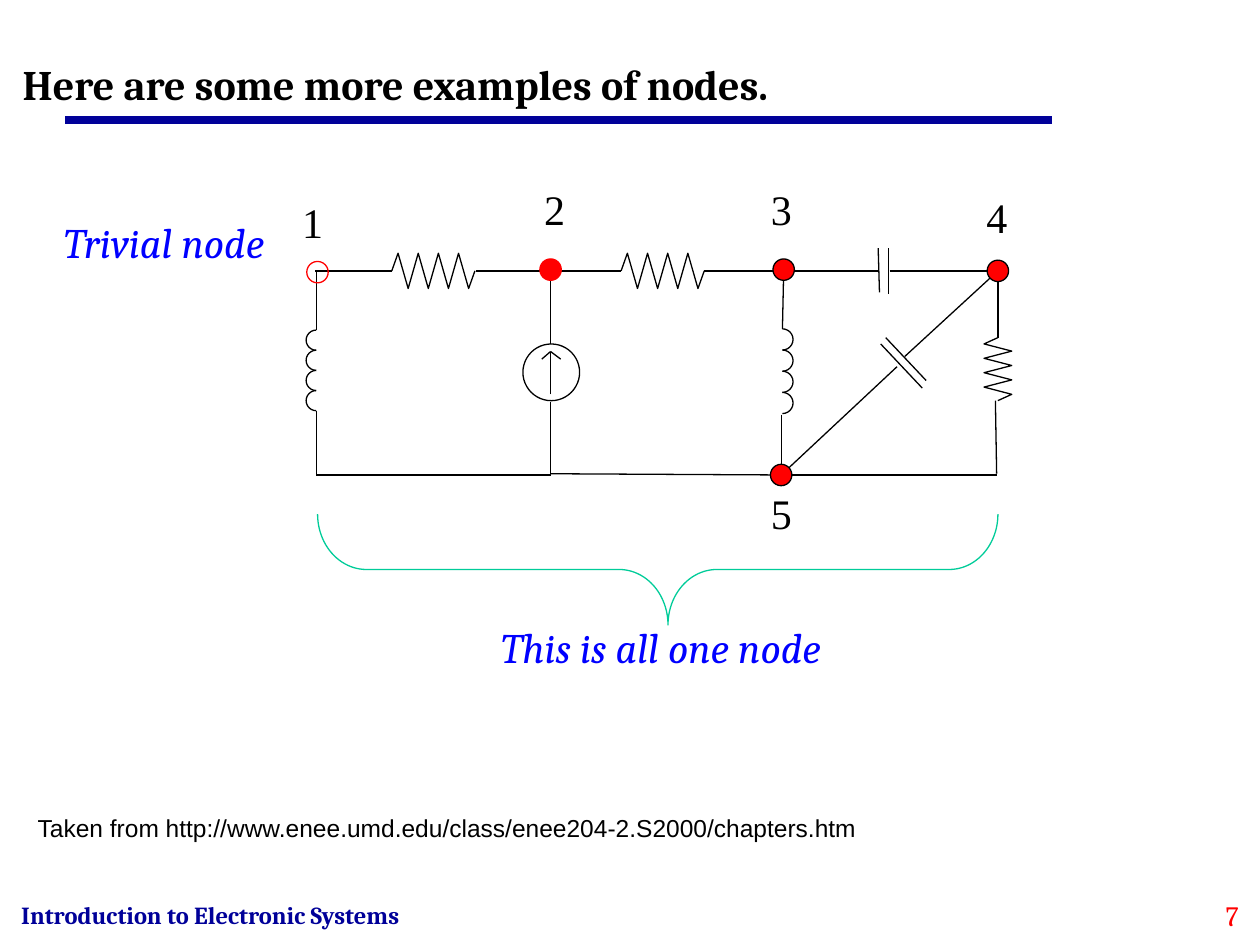
from lxml.etree import SubElement
from pptx import Presentation
from pptx.dml.color import RGBColor
from pptx.enum.shapes import MSO_CONNECTOR as CONN, MSO_SHAPE as SHAPE
from pptx.enum.text import MSO_ANCHOR as ANCHOR, MSO_AUTO_SIZE as AUTO, PP_ALIGN as ALIGN
from pptx.oxml.ns import qn
from pptx.util import Inches, Pt

BLACK = RGBColor(0, 0, 0)
RED = RGBColor(255, 0, 0)
BLUE = RGBColor(0, 0, 255)
NAVY = RGBColor(0, 0, 0x99)
GREEN = RGBColor(0, 0xCC, 0x99)

TITLE = "Here are some more examples of nodes."
SOURCE = "Taken from http://www.enee.umd.edu/class/enee204-2.S2000/chapters.htm"
NOTES = [
    ("Trivial node", 0.41, 1.67, 1.84),
    ("This is all one node", 3.88, 4.88, 2.77),
]
NODE_LABELS = [("1", 2.3, 1.51), ("2", 4.22, 1.41), ("3", 6.02, 1.41),
               ("4", 7.73, 1.47), ("5", 6.02, 3.82)]
NODES = [(2.52, 2.16, None, RED), (4.37, 2.14, RED, RED), (6.22, 2.14, RED, BLACK),
         (7.92, 2.15, RED, BLACK), (6.2, 3.77, RED, BLACK)]

TOP, BOTTOM = 2.15, 3.77
WIRES = [
    (2.5, TOP, 3.11, TOP), (3.78, TOP, 4.93, TOP), (5.59, TOP, 6.97, TOP),
    (7.06, TOP, 7.92, TOP),
    (2.51, TOP, 2.51, 2.62), (2.51, 3.26, 2.51, BOTTOM),
    (4.37, TOP, 4.37, 2.73), (4.37, 3.19, 4.37, BOTTOM),
    (6.22, TOP, 6.21, 2.61), (6.2, 3.29, 6.2, BOTTOM),
    (7.92, TOP, 7.92, 2.68), (7.9, 3.18, 7.91, 3.76),
    (7.92, TOP, 7.18, 2.83), (7.12, 2.91, 6.2, BOTTOM),
    (2.51, BOTTOM, 4.37, BOTTOM), (4.37, 3.76, 6.22, BOTTOM), (6.26, BOTTOM, 7.91, BOTTOM),
]
CAPACITOR_PLATES = [(6.97, 1.97, 6.98, 2.32), (7.05, 1.97, 7.05, 2.33),
                    (7.03, 2.68, 7.35, 3.02), (6.99, 2.73, 7.32, 3.08)]
CURRENT_ARROW = [(4.37, 3.13, 4.37, 2.79), (4.37, 2.79, 4.3, 2.85), (4.37, 2.79, 4.45, 2.85)]
RESISTORS = [(3.11, TOP, 0.66, 0.14, False), (4.93, TOP, 0.66, 0.14, False),
             (7.92, 2.68, 0.5, 0.11, True)]
LEFT_HALF, RIGHT_HALF = (54, 162), (162, 54)
INDUCTORS = [(2.51, 2.62, 0.16, LEFT_HALF), (6.21, 2.61, 0.168, RIGHT_HALF)]

prs = Presentation()
prs.slide_width, prs.slide_height = Inches(10), Inches(7.5)
s = prs.slides.add_slide(prs.slide_layouts[5])


def set_text(sp, text, size, font, color, bold=False, italic=False, align=ALIGN.LEFT, wrap=False):
    tf = sp.text_frame
    tf.text = text
    tf.word_wrap = wrap
    tf.auto_size = AUTO.NONE
    p = tf.paragraphs[0]
    p.alignment = align
    f = p.font
    f.size, f.name, f.bold, f.italic = Pt(size), font, bold, italic
    f.color.rgb = color


def add_text(x, y, w, h, *args, **kwargs):
    sp = s.shapes.add_textbox(Inches(x), Inches(y), Inches(w), Inches(h))
    set_text(sp, *args, **kwargs)


def add_line(x1, y1, x2, y2, color=BLACK, width=0.75):
    c = s.shapes.add_connector(CONN.STRAIGHT, Inches(x1), Inches(y1), Inches(x2), Inches(y2))
    c.line.color.rgb = color
    c.line.width = Pt(width)
    SubElement(c._element.spPr, qn("a:effectLst"))


def outline(sp, color=BLACK, fill=None):
    sp.shadow.inherit = False
    sp.line.color.rgb = color
    sp.line.width = Pt(0.75)
    if fill is None:
        sp.fill.background()
    else:
        sp.fill.solid()
        sp.fill.fore_color.rgb = fill


def add_shape(kind, x, y, w, h, color=BLACK, fill=None):
    sp = s.shapes.add_shape(kind, Inches(x), Inches(y), Inches(w), Inches(h))
    outline(sp, color, fill)
    return sp


def add_resistor(x, y, length, height, vertical):
    lead = 0.05
    step = (length - 2 * lead) / 7
    peaks = [(lead + step * i, height * (1 if i % 2 else -1)) for i in range(8)]
    path_points = [(0, 0), *peaks, (length, 0)]
    points = [(Inches(x + b), Inches(y + a)) if vertical else (Inches(x + a), Inches(y + b))
              for a, b in path_points]
    builder = s.shapes.build_freeform(*points[0])
    builder.add_line_segments(points[1:], close=False)
    outline(builder.convert_to_shape())


def add_inductor(x, y, size, angles):
    for i in range(4):
        arc = add_shape(SHAPE.ARC, x - size / 2, y + size * i, size, size)
        arc.adjustments[0], arc.adjustments[1] = angles


title = s.shapes.title
title.left, title.top, title.width, title.height = map(Inches, (0.08, 0.29, 8.5, 0.74))
set_text(title, TITLE, 24, "Cambria", BLACK, bold=True, wrap=True)
title.text_frame.vertical_anchor = ANCHOR.MIDDLE
add_line(0.52, 0.95, 8.35, 0.95, NAVY, 4.5)

brace = add_shape(SHAPE.RIGHT_BRACE, 4.78, 1.82, 0.88, 5.4, GREEN)
brace.rotation = 90
brace.adjustments[0], brace.adjustments[1] = 0.44, 0.485

add_shape(SHAPE.OVAL, 4.15, 2.73, 0.45, 0.45)
for line in WIRES + CAPACITOR_PLATES + CURRENT_ARROW:
    add_line(*line)
for resistor in RESISTORS:
    add_resistor(*resistor)
for inductor in INDUCTORS:
    add_inductor(*inductor)
DOT = 0.17
for x, y, fill, color in NODES:
    add_shape(SHAPE.OVAL, x - DOT / 2, y - DOT / 2, DOT, DOT, color, fill)

for text, x, y in NODE_LABELS:
    add_text(x, y, 0.36, 0.5, text, 24, "Times New Roman", BLACK)
for text, x, y, w in NOTES:
    add_text(x, y, w, 0.5, text, 24, "Cambria", BLUE, italic=True)
add_text(0.2, 6.4, 9.51, 0.34, SOURCE, 14, "Arial", BLACK, wrap=True)
add_text(0.07, 7.09, 3.85, 0.27, "Introduction to Electronic Systems", 14, "Cambria", NAVY,
         bold=True, wrap=True)
add_text(9.26, 7.08, 0.67, 0.34, "7", 16, "Cambria", RED, align=ALIGN.RIGHT, wrap=True)

prs.save("out.pptx")
